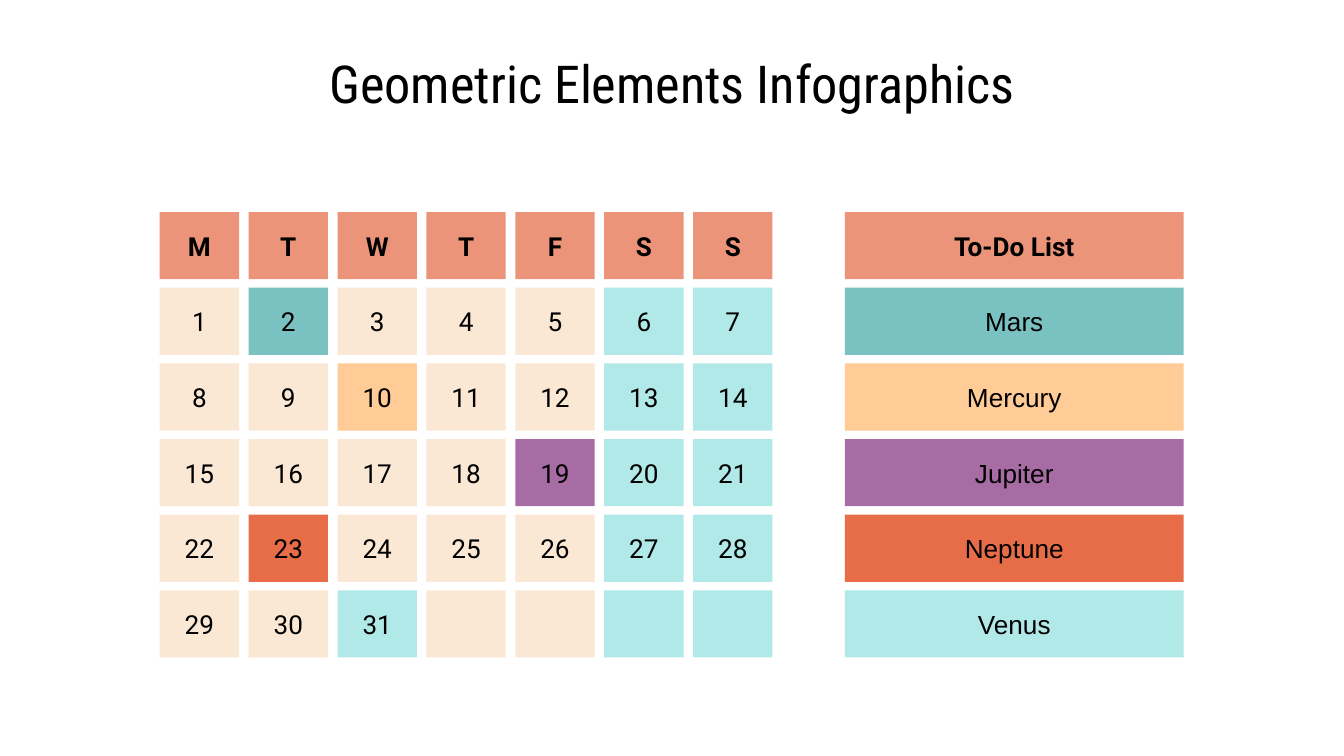
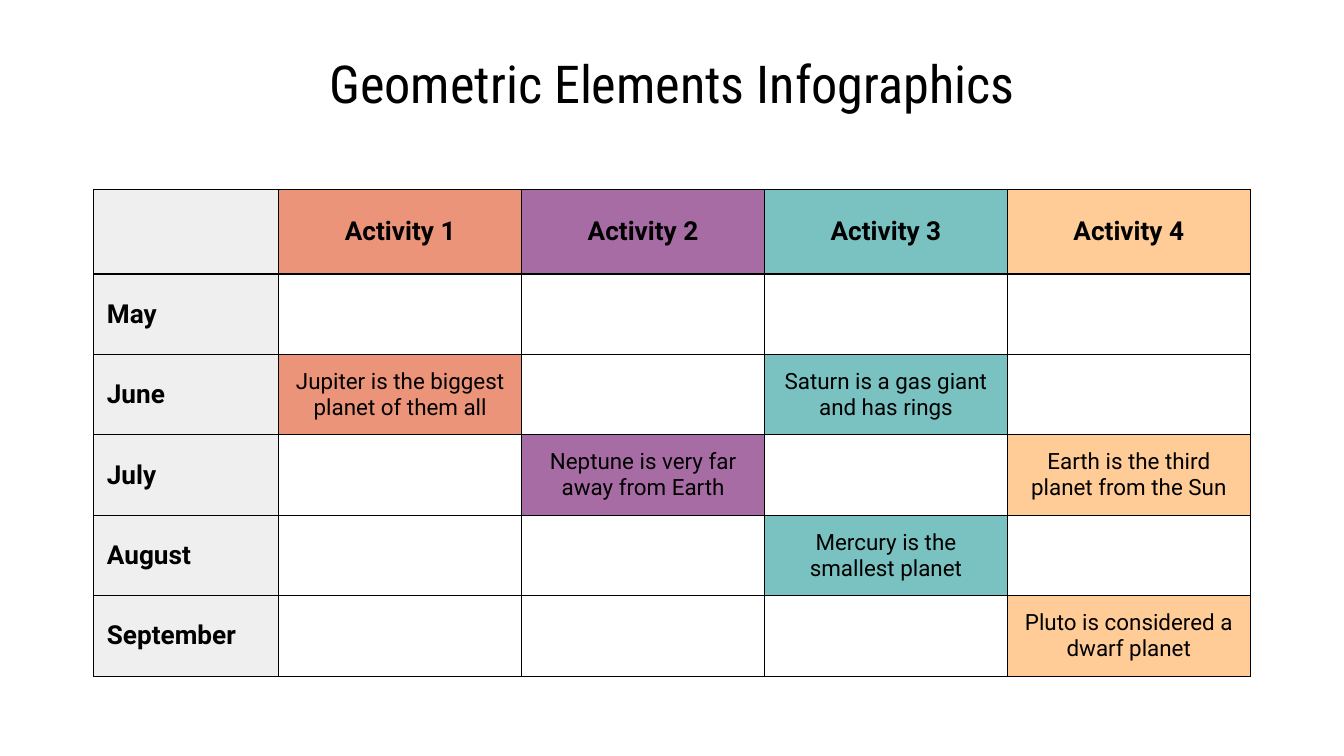
"""Build a month calendar with a to-do list and an activity timetable."""
import pptx
import pptx.dml.color
import pptx.enum.shapes
import pptx.enum.text
import pptx.oxml
import pptx.oxml.ns
import pptx.util

Cm = pptx.util.Cm
RGBColor = pptx.dml.color.RGBColor
CENTER = pptx.enum.text.PP_ALIGN.CENTER
LEFT = pptx.enum.text.PP_ALIGN.LEFT
MIDDLE = pptx.enum.text.MSO_ANCHOR.MIDDLE

BLACK = RGBColor(0x00, 0x00, 0x00)
CORAL = RGBColor(0xEB, 0x94, 0x79)
CREAM = RGBColor(0xFA, 0xE8, 0xD5)
TEAL = RGBColor(0x79, 0xC2, 0xC1)
APRICOT = RGBColor(0xFF, 0xCC, 0x97)
PURPLE = RGBColor(0xA8, 0x6C, 0xA5)
ORANGE = RGBColor(0xE7, 0x6D, 0x48)
AQUA = RGBColor(0xB1, 0xE9, 0xE8)
GREY = RGBColor(0xEF, 0xEF, 0xEF)

TITLE = "Geometric Elements Infographics"
TITLE_FONT, BODY_FONT, TASK_FONT = "Roboto Condensed", "Roboto", "Arial"
INSET = Cm(0.25)

TILE_TOP, TILE_HEIGHT, ROW_PITCH = 4.01, 1.27, 1.43
DAY_LEFT, DAY_WIDTH, DAY_PITCH = 3.02, 1.5, 1.68
TASK_LEFT, TASK_WIDTH = 15.97, 6.4
WEEKDAYS = "MTWTFSS"
WEEKS, LAST_DAY, FIRST_WEEKEND_COLUMN = 5, 31, 5
TASKS = [
    ("Mars", TEAL, 2),
    ("Mercury", APRICOT, 10),
    ("Jupiter", PURPLE, 19),
    ("Neptune", ORANGE, 23),
    ("Venus", AQUA, 31),
]

TABLE_LEFT, TABLE_TOP = 1.77, 3.58
MONTH_WIDTH, ACTIVITY_WIDTH = 3.5, 4.59
HEADER_HEIGHT, MONTH_HEIGHT = 1.6, 1.52
ACTIVITY_COLORS = [CORAL, PURPLE, TEAL, APRICOT]
MONTHS = ["May", "June", "July", "August", "September"]
EVENTS = {
    ("June", 1): "Jupiter is the biggest planet of them all",
    ("June", 3): "Saturn is a gas giant and has rings",
    ("July", 2): "Neptune is very far away from Earth",
    ("July", 4): "Earth is the third planet from the Sun",
    ("August", 3): "Mercury is the smallest planet",
    ("September", 4): "Pluto is considered a dwarf planet",
}


def write(frame, text, size=14, bold=False, font=BODY_FONT, align=CENTER):
    """Write one styled run into the first paragraph of a text frame."""
    frame.word_wrap = True
    frame.margin_left = frame.margin_right = INSET
    frame.margin_top = frame.margin_bottom = INSET
    paragraph = frame.paragraphs[0]
    paragraph.alignment = align
    run = paragraph.add_run()
    run.text = text
    run.font.name = font
    run.font.size = pptx.util.Pt(size)
    run.font.bold = bold
    run.font.color.rgb = BLACK


def add_titled_slide(deck):
    """Add a blank slide that carries the shared title."""
    slide = deck.slides.add_slide(deck.slide_layouts[6])
    heading = slide.shapes.add_textbox(Cm(1), Cm(0.71), Cm(23.4), Cm(1.6))
    write(heading.text_frame, TITLE, size=28, font=TITLE_FONT)
    return slide


def add_tile(panel, left, row, width, color, text="", **style):
    """Add a flat rectangle in the given row of a panel."""
    tile = panel.shapes.add_shape(
        pptx.enum.shapes.MSO_SHAPE.RECTANGLE,
        Cm(left), Cm(TILE_TOP + row * ROW_PITCH), Cm(width), Cm(TILE_HEIGHT))
    tile.shadow.inherit = False
    tile.fill.solid()
    tile.fill.fore_color.rgb = color
    tile.line.fill.background()
    if text:
        tile.text_frame.vertical_anchor = MIDDLE
        write(tile.text_frame, text, **style)


def add_calendar(slide):
    """Add the weekday headings and the days, marking those with a task."""
    calendar = slide.shapes.add_group_shape()
    marked_days = {day: color for _, color, day in TASKS}
    for column, weekday in enumerate(WEEKDAYS):
        left = DAY_LEFT + column * DAY_PITCH
        add_tile(calendar, left, 0, DAY_WIDTH, CORAL, weekday, bold=True)
        plain = AQUA if column >= FIRST_WEEKEND_COLUMN else CREAM
        for week in range(WEEKS):
            day = week * len(WEEKDAYS) + column + 1
            label = str(day) if day <= LAST_DAY else ""
            add_tile(calendar, left, week + 1, DAY_WIDTH,
                     marked_days.get(day, plain), label)


def add_todo_list(slide):
    """Add the to-do heading and one coloured bar per task."""
    todo = slide.shapes.add_group_shape()
    add_tile(todo, TASK_LEFT, 0, TASK_WIDTH, CORAL, "To-Do List", bold=True)
    for row, (name, color, _) in enumerate(TASKS, start=1):
        add_tile(todo, TASK_LEFT, row, TASK_WIDTH, color, name, font=TASK_FONT)


def add_borders(cell):
    """Draw a thin black line on each side of a table cell."""
    properties = cell._tc.get_or_add_tcPr()
    for index, side in enumerate("LRTB"):
        properties.insert(index, pptx.oxml.parse_xml(
            f'<a:ln{side} {pptx.oxml.ns.nsdecls("a")} w="{pptx.util.Pt(0.75)}">'
            f'<a:solidFill><a:srgbClr val="{BLACK}"/></a:solidFill></a:ln{side}>'))


def fill_cell(cell, color=None, text="", size=14, bold=False, align=CENTER):
    """Set the fill, borders and text of a table cell."""
    if color is None:
        cell.fill.background()
    else:
        cell.fill.solid()
        cell.fill.fore_color.rgb = color
    add_borders(cell)
    cell.vertical_anchor = MIDDLE
    cell.margin_left = cell.margin_right = INSET
    cell.margin_top = cell.margin_bottom = INSET
    if text:
        paragraph = cell.text_frame.paragraphs[0]
        paragraph.alignment = align
        run = paragraph.add_run()
        run.text = text
        run.font.name = BODY_FONT
        run.font.size = pptx.util.Pt(size)
        run.font.bold = bold
        run.font.color.rgb = BLACK


def add_timetable(slide):
    """Add the table of months against activities."""
    widths = [MONTH_WIDTH] + [ACTIVITY_WIDTH] * len(ACTIVITY_COLORS)
    heights = [HEADER_HEIGHT] + [MONTH_HEIGHT] * len(MONTHS)
    timetable = slide.shapes.add_table(
        len(heights), len(widths), Cm(TABLE_LEFT), Cm(TABLE_TOP),
        Cm(sum(widths)), Cm(sum(heights))).table
    timetable.first_row = timetable.horz_banding = False
    for column, width in zip(timetable.columns, widths):
        column.width = Cm(width)
    for row, height in zip(timetable.rows, heights):
        row.height = Cm(height)

    fill_cell(timetable.cell(0, 0), GREY)
    for row, month in enumerate(MONTHS, start=1):
        fill_cell(timetable.cell(row, 0), GREY, month, bold=True, align=LEFT)
    for column, color in enumerate(ACTIVITY_COLORS, start=1):
        fill_cell(timetable.cell(0, column), color, f"Activity {column}", bold=True)
        for row, month in enumerate(MONTHS, start=1):
            event = EVENTS.get((month, column), "")
            fill_cell(timetable.cell(row, column), color if event else None,
                      event, size=12)


def main():
    """Build both slides and save the deck."""
    deck = pptx.Presentation()
    deck.slide_width, deck.slide_height = Cm(25.4), Cm(14.29)
    planner = add_titled_slide(deck)
    add_calendar(planner)
    add_todo_list(planner)
    add_timetable(add_titled_slide(deck))
    deck.save("out.pptx")


if __name__ == "__main__":
    main()
